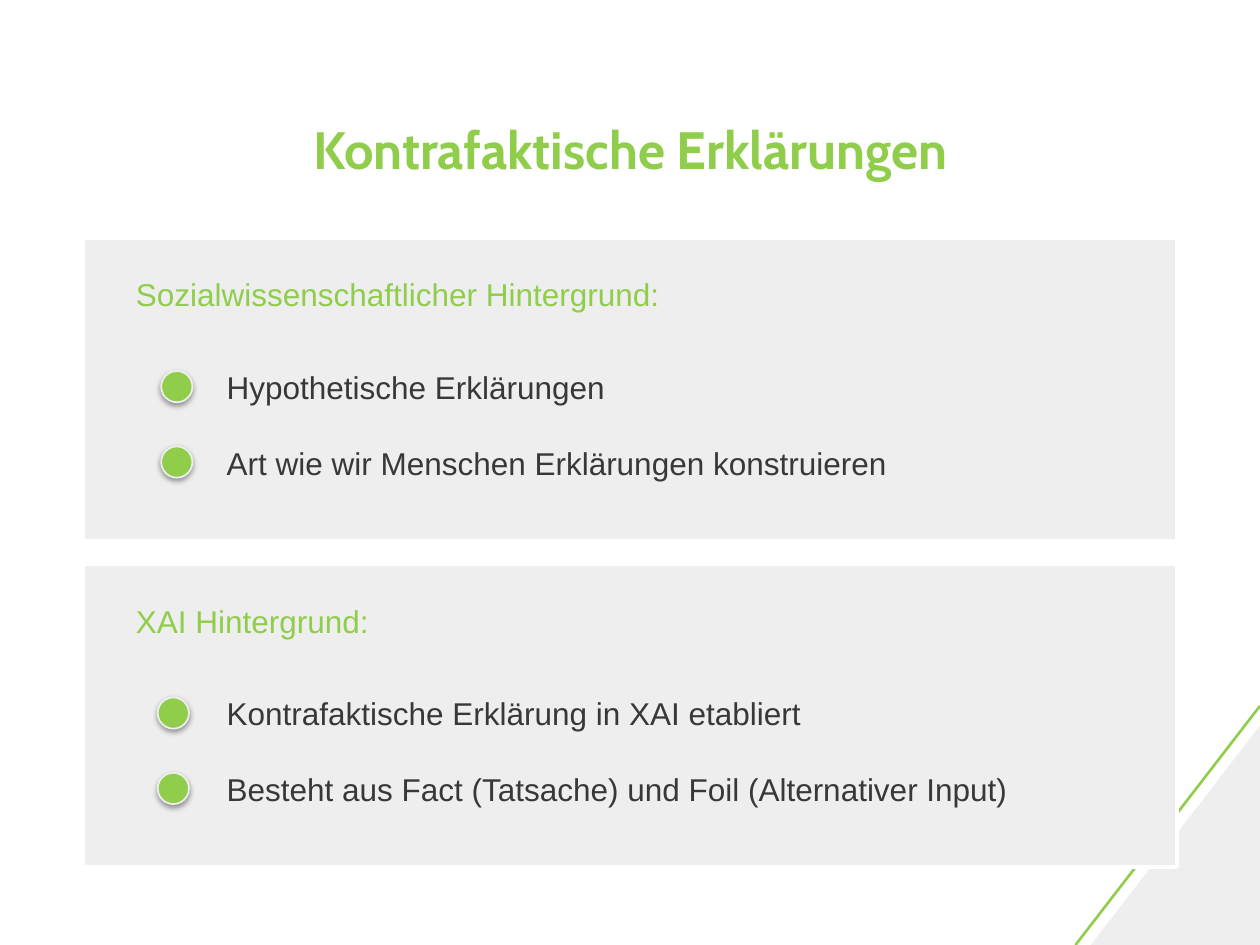
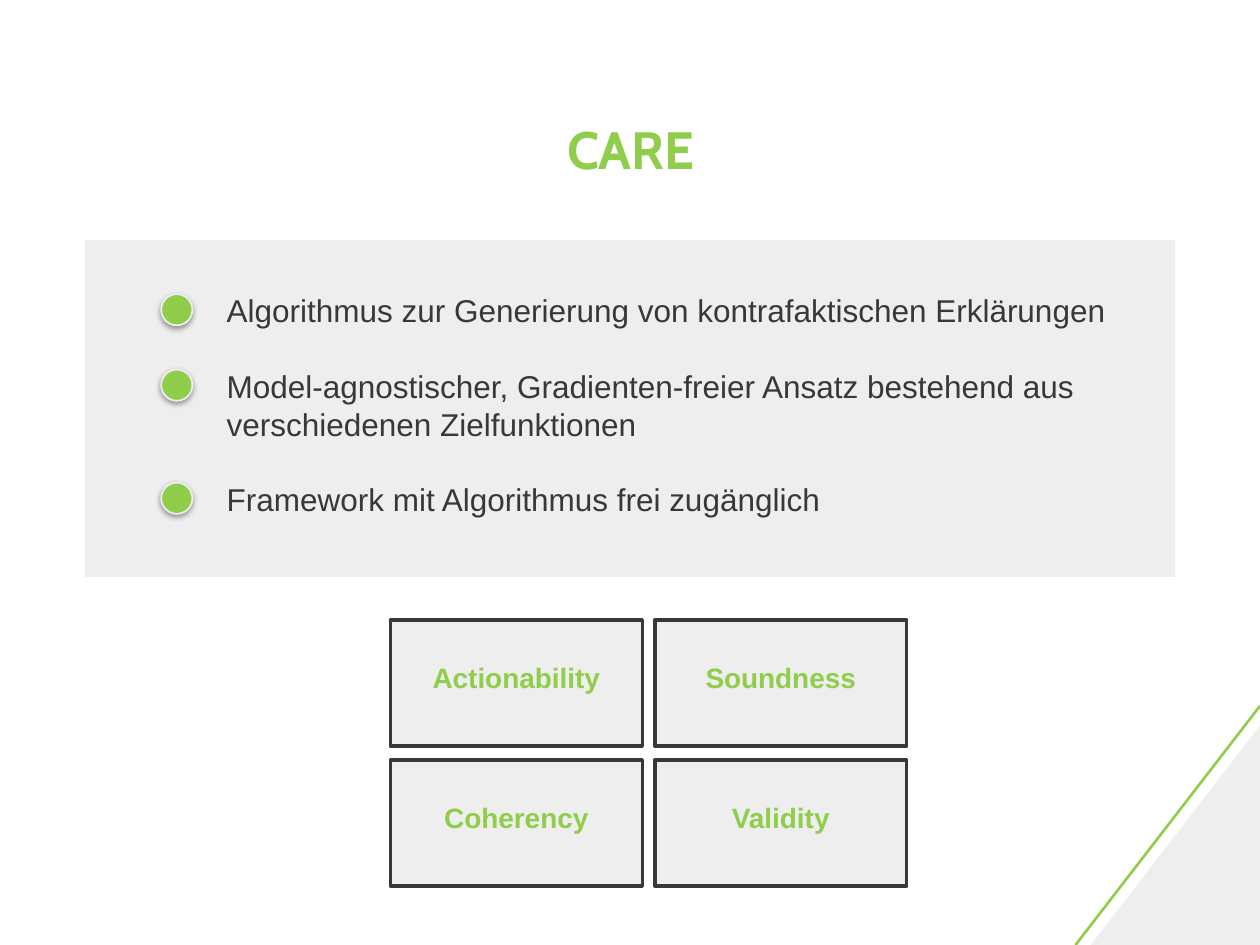
"""Build two slides on counterfactual explanations and CARE."""
from dataclasses import dataclass
from typing import Any, Optional

from lxml.etree import SubElement as Sub
from pptx import Presentation
from pptx.dml.color import RGBColor
from pptx.enum.shapes import MSO_CONNECTOR as Link, MSO_SHAPE as Form
from pptx.enum.text import MSO_ANCHOR as Anchor, MSO_AUTO_SIZE as Fit, PP_ALIGN as Align
from pptx.oxml import parse_xml
from pptx.oxml.ns import nsdecls, qn
from pptx.util import Cm, Pt

GREEN = RGBColor(0x8F, 0xCD, 0x4B)
GREY = RGBColor(0xEE, 0xEE, 0xEE)
DARK = RGBColor(0x38, 0x38, 0x38)
WHITE = RGBColor(0xFF, 0xFF, 0xFF)

WIDTH, HEIGHT = 25.4, 19.05
ROW = 0.76
LEAD = 1.2
DOT = 0.63

SHADOW = (
    f'<a:effectLst {nsdecls("a")}>'
    '<a:outerShdw blurRad="40000" dist="20000" dir="5400000" rotWithShape="0">'
    '<a:srgbClr val="000000"><a:alpha val="38000"/></a:srgbClr>'
    '</a:outerShdw></a:effectLst>'
)


@dataclass(frozen=True)
class Style:
    """Hold the look of one kind of text."""
    font: dict[str, Any]
    color: RGBColor
    align: Align = Align.LEFT
    lead: Optional[float] = LEAD


@dataclass(frozen=True)
class Block:
    """Hold one grey panel with its list; rows give each item's first line."""
    top: float
    height: float
    inset: float
    items: tuple[str, ...]
    rows: tuple[int, ...]
    dot: float = 3.25
    head: str = ""


TITLE = Style({"name": "Cabin", "size": Pt(30), "bold": True}, GREEN, Align.CENTER, None)
HEAD = Style({"name": "Arial", "size": Pt(18), "bold": False}, GREEN)
ITEM = Style({"name": "Arial", "size": Pt(18), "bold": False}, DARK)
CARD = Style({"name": "Arial", "size": Pt(16), "bold": True}, GREEN, Align.CENTER)

FACTS = (
    Block(4.8, 6.1, 2.49,
          ("Hypothetische Erklärungen",
           "Art wie wir Menschen Erklärungen konstruieren"),
          (0, 2), head="Sozialwissenschaftlicher Hintergrund:"),
    Block(11.38, 6.1, 2.49,
          ("Kontrafaktische Erklärung in XAI etabliert",
           "Besteht aus Fact (Tatsache) und Foil (Alternativer Input)"),
          (0, 2), dot=3.18, head="XAI Hintergrund:"),
)
CARE = (
    Block(4.8, 6.86, 0.94,
          ("Algorithmus zur Generierung von kontrafaktischen Erklärungen",
           "Model-agnostischer, Gradienten-freier Ansatz bestehend aus "
           "verschiedenen Zielfunktionen",
           "Framework mit Algorithmus frei zugänglich"),
          (0, 2, 5)),
)
GOALS = ("Actionability", "Soundness", "Coherency", "Validity")


def place(shape: Any, x: float, y: float, w: float, h: float) -> None:
    """Move and size a shape in centimetres."""
    for name, size in {"left": x, "top": y, "width": w, "height": h}.items():
        setattr(shape, name, Cm(size))


def write(shape: Any, lines: tuple[str, ...], style: Style,
          anchor: Anchor = Anchor.TOP, inset: float = 0.13) -> None:
    """Fill a shape with styled lines, one blank row apart."""
    frame = shape.text_frame
    form = {"word_wrap": True, "auto_size": Fit.NONE, "vertical_anchor": anchor,
            "margin_left": Cm(0.25), "margin_right": Cm(0.25),
            "margin_top": Cm(inset), "margin_bottom": Cm(0.13)}
    for name, value in form.items():
        setattr(frame, name, value)
    for i, line in enumerate(lines):
        para = frame.add_paragraph() if i else frame.paragraphs[0]
        props = para._p.get_or_add_pPr()
        props.set("marL", "0")
        props.set("indent", "0")
        Sub(props, qn("a:buNone"))
        step = Pt(style.font["size"].pt * LEAD)
        para.alignment = style.align
        para.space_before = step if i else Pt(0)
        para.space_after = Pt(0)
        if style.lead:
            para.line_spacing = step
        run = para.add_run()
        run.text = line
        for name, value in style.font.items():
            setattr(run.font, name, value)
        run.font.color.rgb = style.color


def draw(slide: Any, form: Form, area: tuple[float, float, float, float],
         fill: RGBColor, line: RGBColor, width: float) -> Any:
    """Add a flat shape with a fill and an outline."""
    shape = slide.shapes.add_shape(form, *map(Cm, area))
    shape.shadow.inherit = False
    shape.fill.solid()
    shape.fill.fore_color.rgb = fill
    shape.line.color.rgb = line
    shape.line.width = Pt(width)
    return shape


def add_block(slide: Any, block: Block, holders: Any) -> None:
    """Draw one panel with heading, list and dots."""
    panel = draw(slide, Form.RECTANGLE, (1.68, block.top, 22.05, block.height), GREY, WHITE, 2)
    slide.shapes.element.insert(2, panel.element)
    if block.head:
        head = next(holders)
        place(head, 2.49, block.top + 0.62, 20.24, 1.02)
        write(head, (block.head,), HEAD)
    body = next(holders)
    top = block.top + block.inset
    place(body, 4.32, top, 18.62, block.height - 2 * block.inset + 1.45 * bool(block.head))
    write(body, block.items, ITEM)
    for row in block.rows:
        dot = draw(slide, Form.OVAL, (block.dot, top + 0.19 + row * ROW, DOT, DOT),
                   GREEN, GREY, 1)
        props = dot.element.spPr
        props.replace(props.find(qn("a:effectLst")), parse_xml(SHADOW))


def add_slide(deck: Any, layout: int, title: str, blocks: tuple[Block, ...]) -> Any:
    """Add a slide with its title and panels."""
    slide = deck.slides.add_slide(deck.slide_layouts[layout])
    holders = iter(list(slide.placeholders))
    head = next(holders)
    place(head, 2.49, 1.96, 20.45, 1.96)
    write(head, (title,), TITLE, Anchor.MIDDLE, 0.25)
    for block in blocks:
        add_block(slide, block, holders)
    return slide


def add_cards(slide: Any) -> None:
    """Draw the goals as a grid of two columns."""
    for i, goal in enumerate(GOALS):
        row, col = divmod(i, 2)
        card = draw(slide, Form.RECTANGLE,
                    (7.87 + col * 5.33, 12.5 + row * 2.82, 5.08, 2.54), GREY, DARK, 2)
        write(card, (goal,), CARD, inset=0.81)


def add_corner(deck: Any, slide: Any) -> None:
    """Put the corner wedge and its green edge on the master."""
    edge = slide.shapes.add_connector(
        Link.STRAIGHT, Cm(21.68), Cm(HEIGHT), Cm(WIDTH), Cm(14.23))
    edge.line.color.rgb = GREEN
    edge.line.width = Pt(1.5)
    Sub(edge.element.spPr, qn("a:effectLst"))
    pen = slide.shapes.build_freeform(Cm(21.99), Cm(HEIGHT))
    pen.add_line_segments([(Cm(WIDTH), Cm(14.63)), (Cm(WIDTH), Cm(HEIGHT))])
    wedge = pen.convert_to_shape()
    wedge.shadow.inherit = False
    wedge.fill.solid()
    wedge.fill.fore_color.rgb = GREY
    wedge.line.fill.background()
    for part in (edge, wedge):
        deck.slide_master.shapes.element.append(part.element)


def main() -> None:
    """Build and save the deck."""
    deck = Presentation()
    deck.slide_width, deck.slide_height = Cm(WIDTH), Cm(HEIGHT)
    first = add_slide(deck, 4, "Kontrafaktische Erklärungen", FACTS)
    add_corner(deck, first)
    add_cards(add_slide(deck, 1, "CARE", CARE))
    deck.save("out.pptx")


if __name__ == "__main__":
    main()
